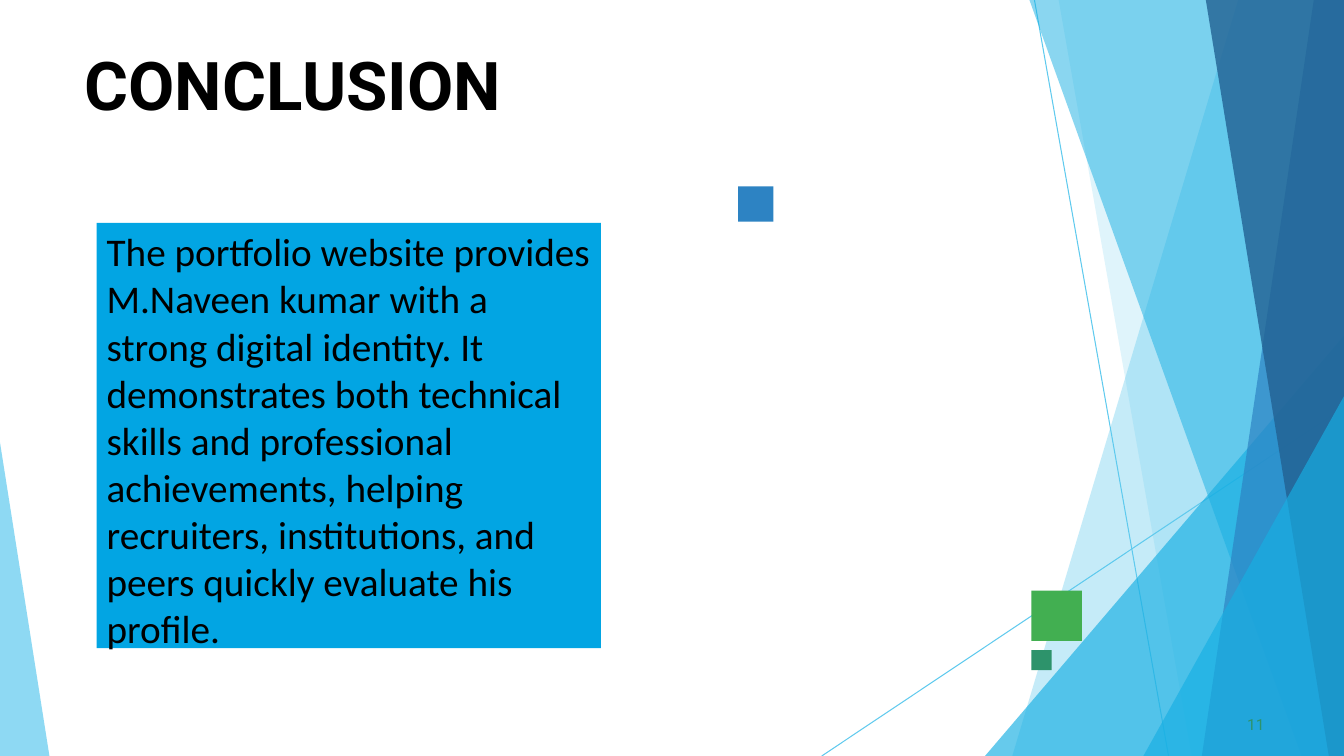
from lxml.etree import SubElement
from pptx import Presentation
from pptx.dml.color import RGBColor
from pptx.enum.shapes import MSO_CONNECTOR, MSO_SHAPE
from pptx.enum.text import MSO_ANCHOR, PP_ALIGN
from pptx.oxml.ns import qn
from pptx.util import Inches, Pt

SKY = RGBColor(0x5F, 0xCA, 0xEE)
CYAN = RGBColor(0x17, 0xAF, 0xE3)
BLUE = RGBColor(0x2D, 0x83, 0xC3)
NAVY = RGBColor(0x22, 0x61, 0x92)
GREEN = RGBColor(0x42, 0xAF, 0x51)
TEAL = RGBColor(0x2D, 0x93, 0x6B)
PANEL = RGBColor(0x02, 0xA5, 0xE3)
BLACK = RGBColor(0, 0, 0)

WIDTH, HEIGHT = 13.33, 7.5

TITLE = "CONCLUSION"
PAGE = "11"
SUMMARY = (
    "The portfolio website provides M.Naveen kumar with a strong digital identity. "
    "It demonstrates both technical skills and professional achievements, helping "
    "recruiters, institutions, and peers quickly evaluate his profile."
)

RAYS = [((10.26, 0), (11.59, HEIGHT)), ((WIDTH, 4.04), (8.15, HEIGHT))]


def band(top_x, bottom_x):
    return [(WIDTH, 0), (top_x, 0), (bottom_x, HEIGHT), (WIDTH, HEIGHT)]


def corner(edge_x, top, bottom_x):
    return [(edge_x, top), (bottom_x, HEIGHT), (edge_x, HEIGHT)]


FACETS = [
    (band(12.28, 10.04), SKY, 36),
    (band(10.5, 11.82), SKY, 20),
    (corner(WIDTH, 3.33, 9.77), CYAN, 66),
    (band(10.21, 12.91), CYAN, 50),
    (band(13.03, 11.92), BLUE, 70),
    (band(11.96, 13.18), NAVY, 80),
    (corner(WIDTH, 3.93, 11.34), CYAN, 66),
    (corner(0, 4.39, 0.49), SKY, 70),
]

SQUARES = [(10.23, 5.86, 0.5, GREEN), (7.32, 1.85, 0.35, BLUE), (10.23, 6.45, 0.2, TEAL)]

deck = Presentation()
deck.slide_width, deck.slide_height = Inches(WIDTH), Inches(HEIGHT)
slide = deck.slides.add_slide(deck.slide_layouts[6])
shapes = slide.shapes


def paint(shape, color, opacity=100):
    shape.shadow.inherit = False
    shape.line.fill.background()
    shape.fill.solid()
    shape.fill.fore_color.rgb = color
    if opacity < 100:
        tint = shape.fill._xPr.find(".//" + qn("a:srgbClr"))
        SubElement(tint, qn("a:alpha")).set("val", str(opacity * 1000))


def add_rectangle(left, top, width, height, color):
    box = shapes.add_shape(MSO_SHAPE.RECTANGLE, *map(Inches, (left, top, width, height)))
    paint(box, color)
    return box


def write(frame, text, size, font, color, bold=False, before=0):
    frame.word_wrap = True
    frame.vertical_anchor = MSO_ANCHOR.TOP
    paragraph = frame.paragraphs[0]
    paragraph.alignment = PP_ALIGN.LEFT
    paragraph.space_before = Pt(before)
    run = paragraph.add_run()
    run.text = text
    run.font.size, run.font.name, run.font.bold = Pt(size), font, bold
    run.font.color.rgb = color
    return paragraph


def add_label(left, top, width, height, indent, *style):
    frame = shapes.add_textbox(*map(Inches, (left, top, width, height))).text_frame
    frame.margin_left = frame.margin_right = frame.margin_bottom = 0
    frame.margin_top = Inches(0.01)
    paragraph = write(frame, *style)
    paragraph._p.get_or_add_pPr().set("marL", str(Inches(indent)))


for start, end in RAYS:
    ray = shapes.add_connector(MSO_CONNECTOR.STRAIGHT, *map(Inches, start + end))
    ray.line.color.rgb = SKY
    ray.line.width = Pt(0.75)
    SubElement(ray._element.spPr, qn("a:effectLst"))

for corners, color, opacity in FACETS:
    first, *others = [(Inches(x), Inches(y)) for x, y in corners]
    outline = shapes.build_freeform(*first)
    outline.add_line_segments(others, close=True)
    paint(outline.convert_to_shape(), color, opacity)

for left, top, side, color in SQUARES:
    add_rectangle(left, top, side, side, color)

add_label(0.83, 0.42, 5.01, 0.82, 0.01, TITLE, 48, "Roboto", BLACK, True, 1.1)
add_label(12.33, 7.08, 0.25, 0.21, 0.04, PAGE, 11, "Roboto", TEAL, False, 0.6)

panel = add_rectangle(0.96, 2.21, 5, 4.22, PANEL)
write(panel.text_frame, SUMMARY, 28, "Calibri", BLACK)

deck.save("out.pptx")
